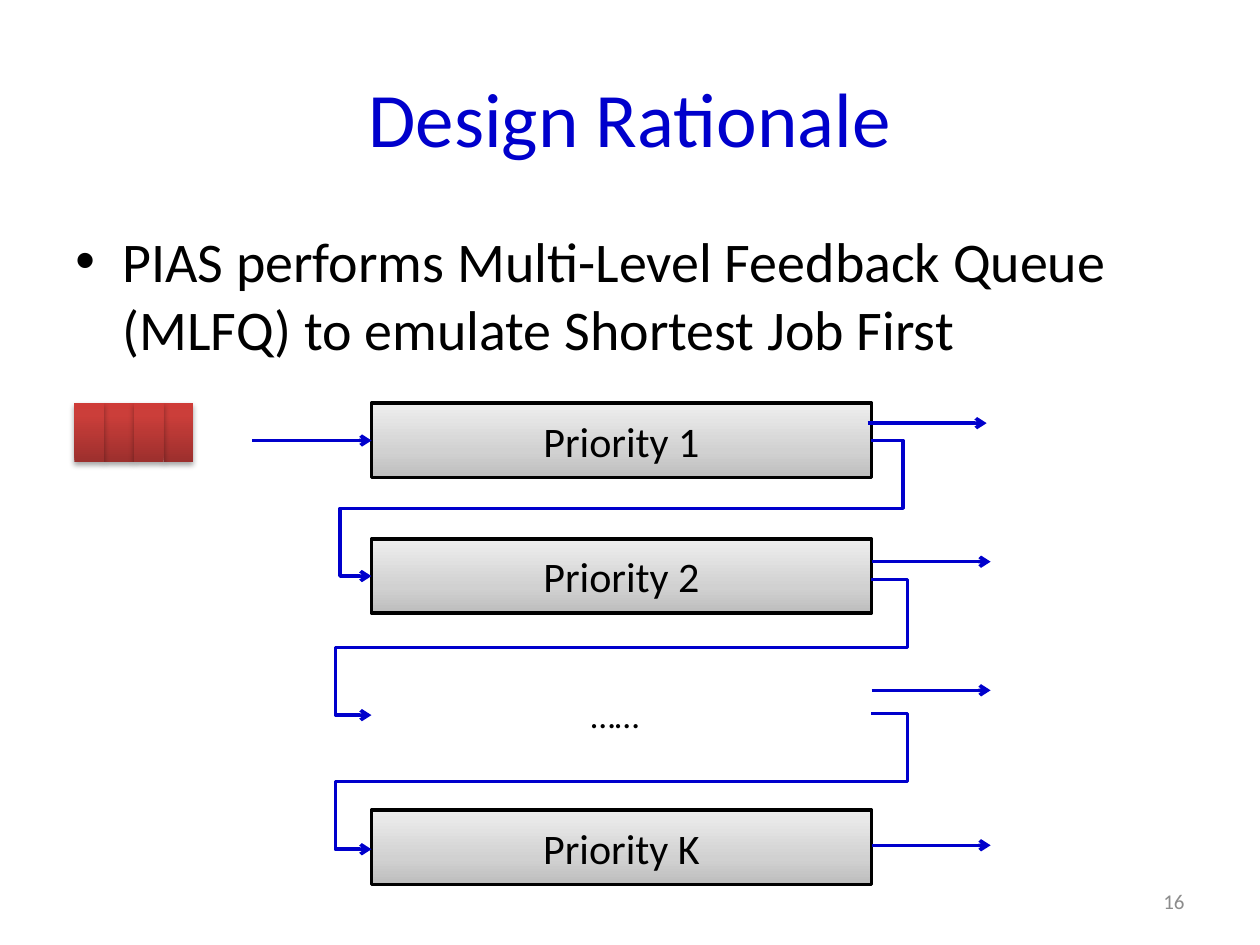
from dataclasses import dataclass
from pptx import Presentation
from pptx.dml.color import RGBColor as RGB
from pptx.enum.shapes import MSO_CONNECTOR as LINK, MSO_SHAPE as SHAPE
from pptx.enum.text import MSO_ANCHOR as ANCHOR, PP_ALIGN as ALIGN
from pptx.oxml import parse_xml
from pptx.oxml.ns import nsdecls, qn
from pptx.util import Cm, Pt


@dataclass(frozen=True)
class Theme:
    """Colours, type sizes and line width of the slide."""
    font: str = "Calibri"
    blue: str = "0000CC"
    black: str = "000000"
    gray: str = "8C8C8C"
    steel: tuple = ((0, "BDBDBD"), (35, "D1D1D1"), (100, "EEEEEE"))
    red: tuple = ((0, "9C2F2D"), (80, "CB3E3A"), (100, "CE3B37"))
    title: int = 44
    body: int = 32
    label: int = 24
    dots: int = 20
    foot: int = 12
    line: int = 2


THEME = Theme()


def write(shape, text, size, color=THEME.black, align=ALIGN.LEFT, anchor=ANCHOR.TOP, wrap=True):
    """Put one formatted paragraph in a shape and return it."""
    frame = shape.text_frame
    frame.word_wrap, frame.vertical_anchor = wrap, anchor
    para = frame.paragraphs[0]
    para.alignment = align
    run = para.add_run()
    run.text = text
    for name, value in {"name": THEME.font, "size": Pt(size)}.items():
        setattr(run.font, name, value)
    run.font.color.rgb = RGB.from_string(color)
    return para


def add_text(slide, box, *args, **form):
    """Add a text box and return its paragraph."""
    return write(slide.shapes.add_textbox(*map(Cm, box)), *args, **form)


def add_block(slide, box, stops):
    """Add a rectangle with an upward gradient and no line."""
    block = slide.shapes.add_shape(SHAPE.RECTANGLE, *map(Cm, box))
    block.shadow.inherit = False
    block.line.fill.background()
    marks = "".join(
        f'<a:gs pos="{pos * 1000}"><a:srgbClr val="{color}"/></a:gs>' for pos, color in stops)
    grad = parse_xml(
        f'<a:gradFill {nsdecls("a")} rotWithShape="1"><a:gsLst>{marks}</a:gsLst>'
        '<a:lin ang="16200000" scaled="0"/></a:gradFill>')
    block._element.spPr.find(qn("a:prstGeom")).addnext(grad)
    return block


def add_arrow(slide, start, end, kind=LINK.STRAIGHT):
    """Add a blue connector with an open head at its end."""
    link = slide.shapes.add_connector(kind, *map(Cm, (*start, *end)))
    link.line.color.rgb = RGB.from_string(THEME.blue)
    link.line.width = Pt(THEME.line)
    link.line._get_or_add_ln().append(parse_xml(f'<a:tailEnd {nsdecls("a")} type="arrow"/>'))
    link._element.spPr.append(parse_xml(f'<a:effectLst {nsdecls("a")}/>'))
    return link


def add_bend(slide, start, end, reach):
    """Add a five-part elbow that reaches past both ends by a share of its width."""
    link = add_arrow(slide, start, end, LINK.ELBOW)
    geom = link._element.spPr.find(qn("a:prstGeom"))
    geom.set("prst", "bentConnector5")
    for old in list(geom):
        geom.remove(old)
    guides = "".join(
        f'<a:gd name="adj{num}" fmla="val {round(share * 100000)}"/>'
        for num, share in enumerate((-reach, 0.5, 1 + reach), 1))
    geom.append(parse_xml(f'<a:avLst {nsdecls("a")}>{guides}</a:avLst>'))


def add_bullet(slide, box, text):
    """Add the bulleted statement."""
    para = add_text(slide, box, text, THEME.body)
    para.space_before = Pt(THEME.body * 0.2)
    props = para._p.get_or_add_pPr()
    for name, value in {"marL": Cm(0.95), "indent": -Cm(0.95)}.items():
        props.set(name, str(value))
    for tag in ('buFont typeface="Arial"', 'buChar char="•"'):
        props.append(parse_xml(f'<a:{tag} {nsdecls("a")}/>'))


def add_job(slide, box, count=4):
    """Add a row of shadowed packets that fills the box."""
    left, top, width, height = box
    step = width / count
    for col in (1, 0, 3, 2):
        pack = add_block(slide, (left + col * step, top, step, height), THEME.red)
        pack._element.spPr.find(qn("a:effectLst")).append(parse_xml(
            f'<a:outerShdw {nsdecls("a")} blurRad="40000" dist="23000" dir="5400000" '
            'rotWithShape="0"><a:srgbClr val="000000"><a:alpha val="35000"/></a:srgbClr>'
            '</a:outerShdw>'))


def add_queues(slide, box):
    """Add the priority levels with their entry, exit and demotion arrows."""
    left, top, width, height = box
    right, tall = left + width, 1.5
    labels = ("Priority 1", "Priority 2", None, "Priority K")
    pitch = (height - tall) / (len(labels) - 1)
    rows = [top + row * pitch for row in range(len(labels))]
    for label, y in zip(labels, rows):
        if label:
            level = add_block(slide, (left, y, width, tall), THEME.steel)
            level.line.color.rgb = RGB.from_string(THEME.black)
            level.line.width = Pt(THEME.line)
            write(level, label, THEME.label, align=ALIGN.CENTER, anchor=ANCHOR.MIDDLE)
            if y == top:
                entry = add_arrow(slide, (left - 2.4, y + tall / 2), (left, y + tall / 2))
                entry.end_connect(level, 1)
        else:
            add_text(slide, (left + 4.17, y + 0.25, 1.75, 1.19), "……", THEME.dots, wrap=False)
    for y, drop, reach in zip(rows, (0.75, 0.82, 0.79), (0.063, 0.072, 0.072)):
        add_bend(slide, (right, y + drop), (left, y + drop + pitch), reach)
    for y, drop, shift in zip(rows, (0.4, 0.46, 0.32, 0.71), (-0.08, 0, 0, 0)):
        add_arrow(slide, (right + shift, y + drop), (right + shift + 2.4, y + drop))


def main():
    """Build and save the slide."""
    deck = Presentation()
    deck.slide_width, deck.slide_height = Cm(25.4), Cm(19.05)
    slide = deck.slides.add_slide(deck.slide_layouts[6])
    add_text(slide, (1.27, 0.76, 22.86, 3.18), "Design Rationale", THEME.title,
             THEME.blue, ALIGN.CENTER, ANCHOR.MIDDLE)
    add_bullet(slide, (1.27, 4.45, 22.86, 12.57),
               "PIAS performs Multi-Level Feedback Queue (MLFQ) to emulate Shortest Job First")
    add_queues(slide, (7.49, 8.13, 10.08, 9.7))
    add_job(slide, (1.5, 8.13, 2.4, 1.19))
    add_text(slide, (18.21, 17.65, 5.92, 1.02), "16", THEME.foot,
             THEME.gray, ALIGN.RIGHT, ANCHOR.MIDDLE)
    deck.save("out.pptx")


if __name__ == "__main__":
    main()
